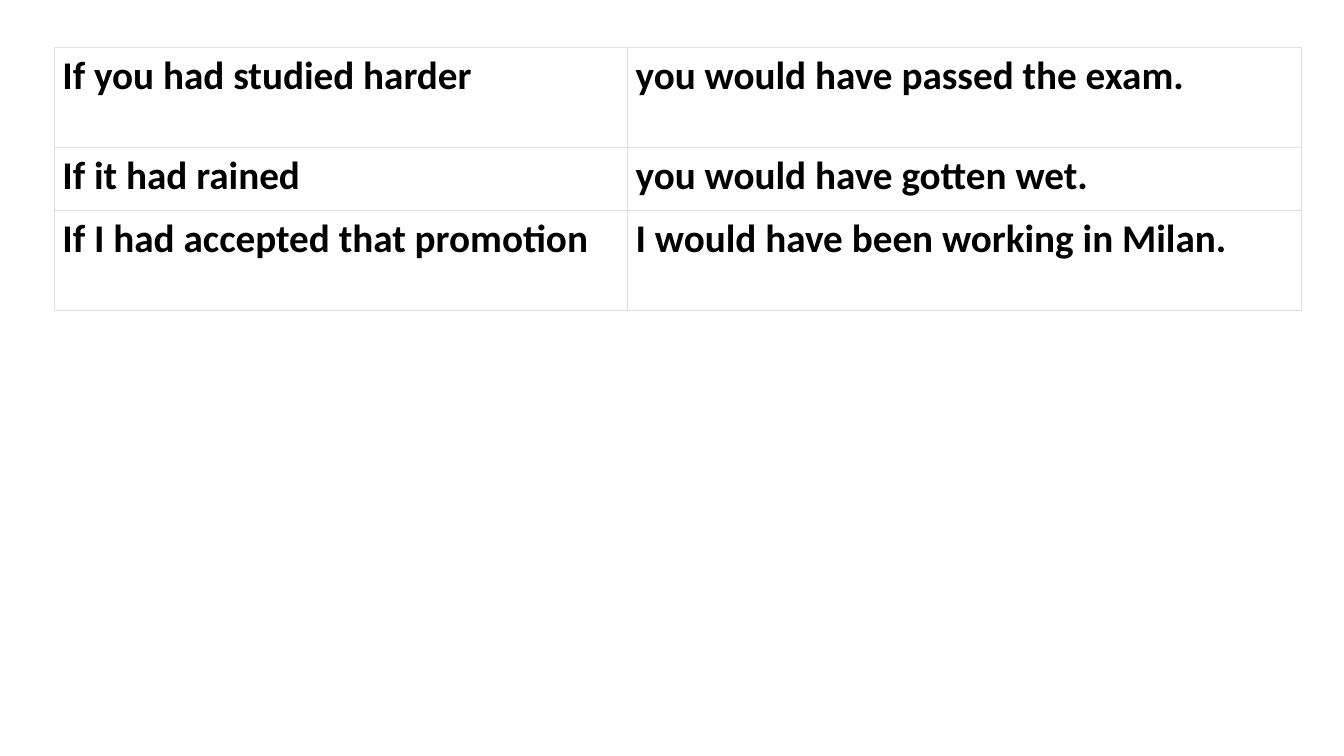
"""Build a slide with a table of third conditional sentences."""
from lxml import etree
from pptx import Presentation
from pptx.dml.color import RGBColor
from pptx.oxml import ns
from pptx.util import Inches, Pt

BLACK = RGBColor(0x00, 0x00, 0x00)
WHITE = RGBColor(0xFF, 0xFF, 0xFF)
GREY = RGBColor(0xDF, 0xDF, 0xDF)

ROWS = [
    (0.99, "If you had studied harder", "you would have passed the exam."),
    (0.63, "If it had rained", "you would have gotten wet."),
    (0.99, "If I had accepted that promotion", "I would have been working in Milan."),
]
WIDTHS = [5.69, 6.69]


def add_borders(cell):
    props = cell._tc.get_or_add_tcPr()
    for side in ("lnL", "lnR", "lnT", "lnB"):
        line = etree.SubElement(props, ns.qn(f"a:{side}"), w=str(Pt(0.34)))
        fill = etree.SubElement(line, ns.qn("a:solidFill"))
        etree.SubElement(fill, ns.qn("a:srgbClr"), val=str(GREY))


deck = Presentation()
deck.slide_width, deck.slide_height = Inches(13.34), Inches(7.5)
slide = deck.slides.add_slide(deck.slide_layouts[6])

height = sum(row[0] for row in ROWS)
frame = slide.shapes.add_table(
    len(ROWS), len(WIDTHS), Inches(0.54), Inches(0.47),
    Inches(sum(WIDTHS)), Inches(height))
table = frame.table
table.first_row = table.horz_banding = False

for column, width in zip(table.columns, WIDTHS):
    column.width = Inches(width)

for row, (tall, *words) in zip(table.rows, ROWS):
    row.height = Inches(tall)
    for cell, word in zip(row.cells, words):
        add_borders(cell)
        cell.fill.solid()
        cell.fill.fore_color.rgb = WHITE
        cell.margin_left = cell.margin_right = Inches(0.08)
        cell.margin_top = cell.margin_bottom = Inches(0.05)
        cell.text = word
        font = cell.text_frame.paragraphs[0].font
        font.name, font.size, font.bold = "Calibri", Pt(28), True
        font.color.rgb = BLACK

deck.save("out.pptx")
